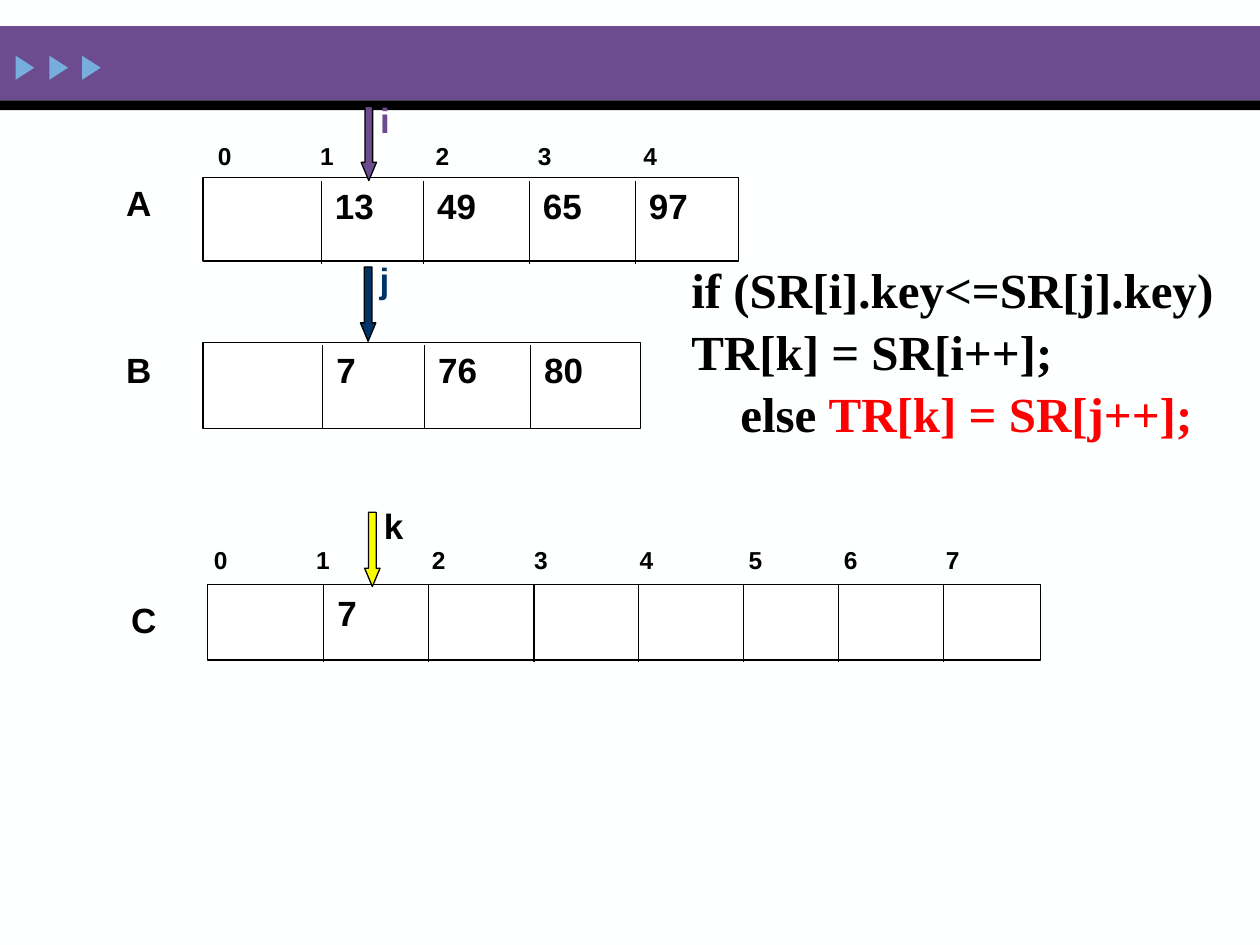
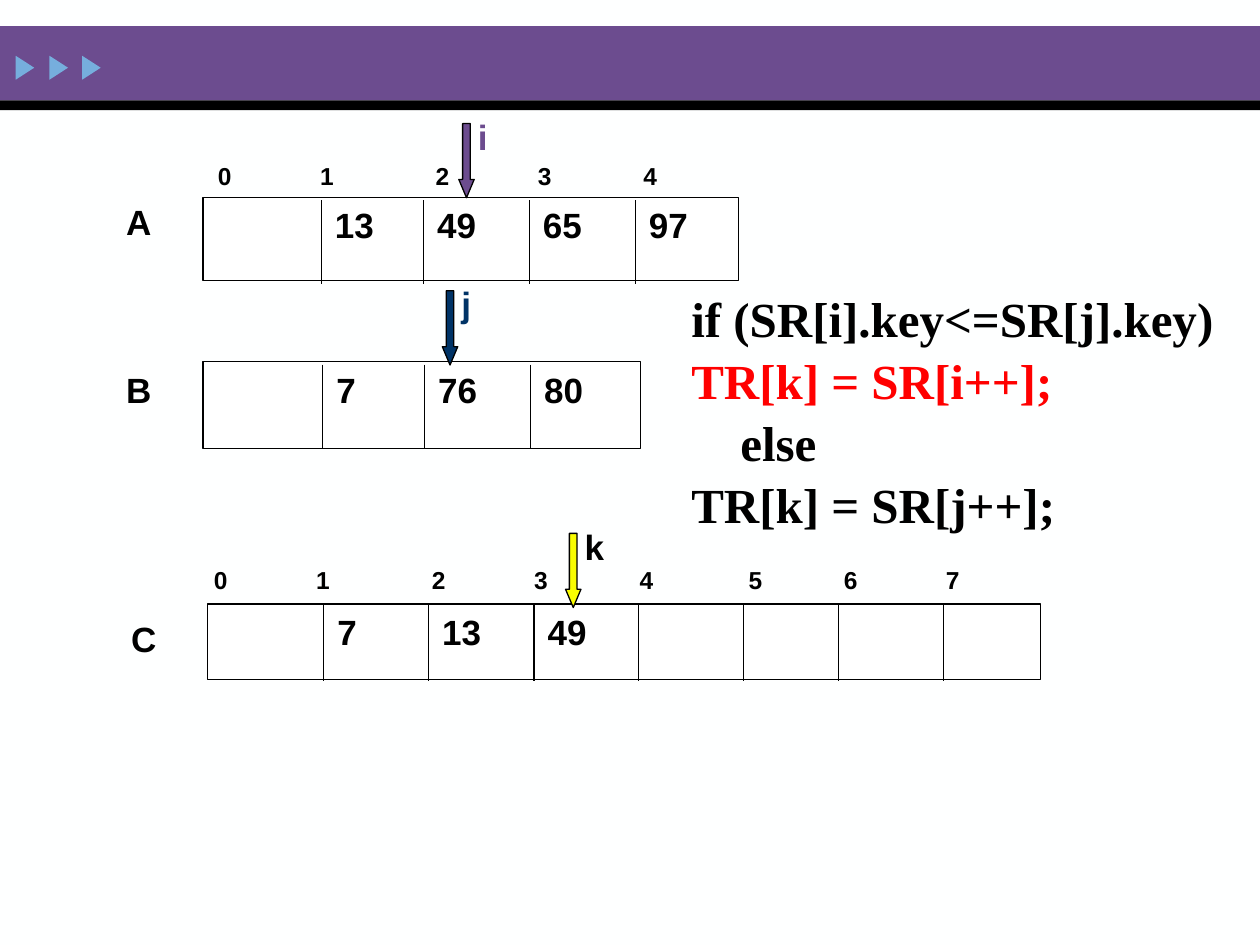
from dataclasses import dataclass

from lxml.etree import SubElement
from pptx import Presentation
from pptx.dml.color import RGBColor
from pptx.enum.shapes import MSO_CONNECTOR as Line, MSO_SHAPE as Preset
from pptx.oxml.ns import qn
from pptx.util import Pt

PAPER = RGBColor(0xFE, 0xFF, 0xFF)
WHITE = RGBColor(0xFF, 0xFF, 0xFF)
BLACK = RGBColor(0x00, 0x00, 0x00)
PURPLE = RGBColor(0x6C, 0x4C, 0x8F)
SKY = RGBColor(0x76, 0xAE, 0xDD)
NAVY = RGBColor(0x00, 0x33, 0x66)
YELLOW = RGBColor(0xFA, 0xFD, 0x00)
RED = RGBColor(0xFF, 0x00, 0x00)

INDEX_TABS = (58.4, 124.5, 182.9, 243.2, 305.5, 360, 418.3)


@dataclass
class Row:
    """Geometry of one array, with tops as on the first page."""
    name: str
    left: float
    top: float
    width: float
    height: float
    dividers: tuple
    divider_drop: float
    divider_height: float
    name_drop: float
    index_offset: tuple = None


ROWS = (
    Row("A", 116, 101.5, 306, 47.7, (183.6, 242, 302.4, 363), 1.8, 47.6, -1.4, (1.4, -24.5)),
    Row("B", 116, 195.6, 250, 49.5, (184.4, 242.6, 303.2), 1.6, 47.6, 0),
    Row("C", 118.8, 334, 476, 43.2, (185, 244.8, 305.2, 365, 424.8, 479, 539.2),
        0, 44, 4.3, (-3.6, -25.9)),
)


class Sketch:
    """Draws the merge diagrams in one style."""

    def __init__(self):
        """Open a deck of 10 by 7.5 inch pages."""
        self.deck = Presentation()
        self.deck.slide_width, self.deck.slide_height = Pt(720), Pt(540)
        fill = self.deck.slide_master.background.fill
        fill.solid()
        fill.fore_color.rgb = PAPER
        self.page = None

    def new_page(self):
        """Start a page with the header bands and triangles."""
        self.page = self.deck.slides.add_slide(self.deck.slide_layouts[6])
        self.shape(Preset.RECTANGLE, 0, 15, 720, 42.4, PURPLE)
        self.shape(Preset.RECTANGLE, 0, 57.4, 720, 5.6, BLACK)
        for left in (7.4, 26.7, 45.4):
            triangle = self.shape(Preset.ISOSCELES_TRIANGLE, left, 33.4, 13.7, 10.6, SKY)
            triangle.rotation = 90

    def shape(self, preset, left, top, width, height, color, outlined=False):
        """Add a filled preset shape."""
        shape = self.page.shapes.add_shape(preset, Pt(left), Pt(top), Pt(width), Pt(height))
        shape.shadow.inherit = False
        shape.fill.solid()
        shape.fill.fore_color.rgb = color
        if outlined:
            shape.line.color.rgb = BLACK
            shape.line.width = Pt(0.75)
        else:
            shape.line.fill.background()
        return shape

    def divider(self, x, top, height):
        """Add a thin vertical line."""
        line = self.page.shapes.add_connector(
            Line.STRAIGHT, Pt(x), Pt(top), Pt(x), Pt(top + height))
        line.line.color.rgb = BLACK
        line.line.width = Pt(0.75)
        SubElement(line._element.spPr, qn("a:effectLst"))

    def frame(self, left, top, width, height):
        """Add a wrapping text box and return its text frame."""
        box = self.page.shapes.add_textbox(Pt(left), Pt(top), Pt(width), Pt(height))
        box.text_frame.word_wrap = True
        return box.text_frame

    def style(self, para, size, color=BLACK, face="Arial"):
        """Set the bold font of a paragraph."""
        font = para.font
        font.name, font.size, font.bold = face, Pt(size), True
        font.color.rgb = color

    def label(self, text, left, top, color=BLACK):
        """Add a short 20 point label."""
        para = self.frame(left, top, 48, 31).paragraphs[0]
        para.add_run().text = text
        self.style(para, 20, color)

    def indices(self, count, left, top, width):
        """Add a line of cell numbers set on tab stops."""
        para = self.frame(left, top, width, 24).paragraphs[0]
        para.add_run().text = "\t".join(str(number) for number in range(count))
        tabs = SubElement(para._p.get_or_add_pPr(), qn("a:tabLst"))
        for stop in INDEX_TABS[:count - 1]:
            SubElement(tabs, qn("a:tab"), pos=str(Pt(stop)), algn="l")
        self.style(para, 14)

    def row(self, row, values, shift):
        """Add an array with its name, numbers and values."""
        top = row.top + shift
        self.shape(Preset.RECTANGLE, row.left, top, row.width, row.height, WHITE, True)
        for x in row.dividers:
            self.divider(x, top + row.divider_drop, row.divider_height)
        for value, x in zip(values, row.dividers):
            self.label(value, x + 0.7, top + 0.2)
        self.label(row.name, row.left - 51, top + row.name_drop)
        if row.index_offset:
            across, down = row.index_offset
            self.indices(len(row.dividers) + 1, row.left + across, top + down, row.width)

    def pointer(self, name, left, top, color, text_color):
        """Add a down arrow with its variable name."""
        arrow = self.shape(Preset.DOWN_ARROW, left, top, 8.8, 42.4, color, True)
        arrow.adjustments[0], arrow.adjustments[1] = 0.5, 1.19
        self.label(name, left + 3.8, top - 8.2, text_color)

    def code(self, top, height, lines):
        """Add code lines, each an indent and coloured spans."""
        frame = self.frame(388, top, 360, height)
        for number, (indent, spans) in enumerate(lines):
            para = frame.add_paragraph() if number else frame.paragraphs[0]
            para.line_spacing = 1.05
            para._p.get_or_add_pPr().set("marL", str(Pt(indent)))
            for text, color in spans:
                span = para.add_run()
                span.text = text
                if color != BLACK:
                    span.font.color.rgb = color
            self.style(para, 28, face="Times New Roman")


def main():
    """Build both merge steps and save the deck."""
    condition, take_i, take_j = "if (SR[i].key<=SR[j].key) ", "TR[k] = SR[i++];", "TR[k] = SR[j++];"
    pointer_styles = (("i", PURPLE, PURPLE), ("j", NAVY, NAVY), ("k", YELLOW, BLACK))
    a_values, b_values = ("13", "49", "65", "97"), ("7", "76", "80")
    steps = (
        (0, ("7",), ((206.4, 60.8), (206, 152.6), (208.4, 292.8)), 143.2, 116,
         ((0, ((condition + take_i, BLACK),)),
          (28, (("else ", BLACK), (take_j, RED))))),
        (11.2, ("7", "13", "49"), ((262.2, 70.6), (252.8, 166.2), (323.2, 304.8)), 159.8, 156,
         ((0, ((condition, BLACK), (take_i, RED))),
          (28, (("else", BLACK),)),
          (0, ((take_j, BLACK),)))),
    )
    sketch = Sketch()
    for shift, merged, places, code_top, code_height, lines in steps:
        sketch.new_page()
        for row, values in zip(ROWS, (a_values, b_values, merged)):
            sketch.row(row, values, shift)
        for (name, color, text_color), (left, top) in zip(pointer_styles, places):
            sketch.pointer(name, left, top, color, text_color)
        sketch.code(code_top, code_height, lines)
    sketch.deck.save("out.pptx")


if __name__ == "__main__":
    main()
